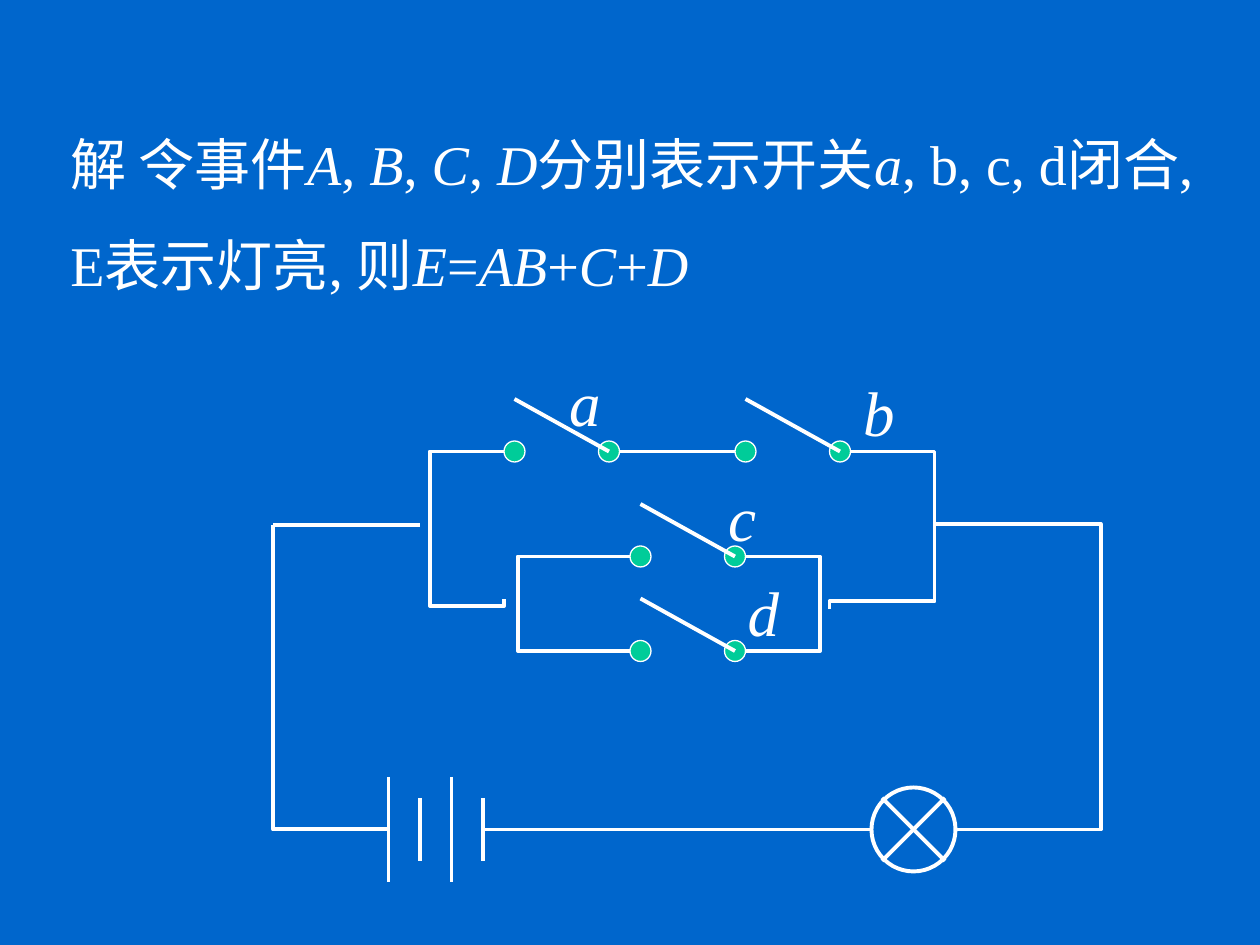
import pptx
import pptx.util
import pptx.dml.color
import pptx.enum.shapes
import pptx.enum.text
import pptx.oxml

Pt = pptx.util.Pt
MSO_SHAPE = pptx.enum.shapes.MSO_SHAPE
FONT = "Times New Roman"
COLORS = {"background": "0066CC", "line": "FFFFFF", "contact": "00CC99"}

TITLE_RUNS = [
    ("解 令事件", False), ("A", True), (", ", False), ("B", True),
    (", ", False), ("C", True), (", ", False), ("D", True),
    ("分别表示开关", False), ("a", True),
    (", b, c, d闭合, E表示灯亮, 则", False), ("E", True), ("=", False),
    ("AB", True), ("+", False), ("C", True), ("+", False), ("D", True),
]

SWITCHES = [(294, 258), (426, 258), (366, 318), (366, 372)]
CONTACT_GAP, CONTACT_SIZE, LEVER_RISE = 54, 12, 30

BENT_WIRES = [
    [(426, 318), (468.5, 318), (468.5, 372), (426, 372)],
    [(474, 348), (474, 343.5), (534, 343.5), (534, 258), (486, 258)],
    [(360, 318), (296, 318), (296, 372), (360, 372)],
    [(288, 258), (245.7, 258), (245.7, 346.3), (288, 346.3), (288, 342)],
    [(534, 299.5), (629, 299.5), (629, 474), (547, 474)],
    [(156, 300), (156, 474), (222, 474)],
]
STRAIGHT_WIRES = [(276, 474, 498, 474), (354, 258, 420, 258), (240, 300, 156, 300)]

BATTERY_LEFT, BATTERY_GAP, BATTERY_HEIGHTS = 222, 18, (60, 36, 60, 36)
MAIN_Y = 474
LAMP_X, LAMP_SIZE, LAMP_CROSS = 522, 48, 18

LABELS = [("a", 318, 204, 32.4), ("b", 486, 210, 32.4),
          ("c", 409, 270, 30.2), ("d", 420, 324, 32.4)]


def color(name):
    return pptx.dml.color.RGBColor.from_string(COLORS[name])


def style_line(shape, width=2.25):
    shape.line.color.rgb = color("line")
    shape.line.width = Pt(width)


def add_line(slide, *ends):
    line = slide.shapes.add_connector(
        pptx.enum.shapes.MSO_CONNECTOR.STRAIGHT, *map(Pt, ends))
    style_line(line)
    line._element.spPr.append(pptx.oxml.parse_xml(
        '<a:effectLst xmlns:a="http://schemas.openxmlformats.org/drawingml/2006/main"/>'))


def add_circle(slide, kind, x, y, size, width, fill=None):
    circle = slide.shapes.add_shape(
        kind, Pt(x - size / 2), Pt(y - size / 2), Pt(size), Pt(size))
    circle.shadow.inherit = False
    if fill:
        circle.fill.solid()
        circle.fill.fore_color.rgb = color(fill)
    else:
        circle.fill.background()
    style_line(circle, width)


def add_bent_wire(slide, points):
    start, *others = [(Pt(x), Pt(y)) for x, y in points]
    builder = slide.shapes.build_freeform(*start)
    builder.add_line_segments(others, close=False)
    wire = builder.convert_to_shape()
    wire.shadow.inherit = False
    wire.fill.background()
    style_line(wire)


def style_font(paragraph, size):
    paragraph.font.name = FONT
    paragraph.font.size = Pt(size)
    paragraph.font.color.rgb = color("line")


def add_title(slide):
    title = slide.shapes.title
    title.left, title.top, title.width, title.height = map(Pt, (33, 40.5, 677.5, 144))
    frame = title.text_frame
    frame.word_wrap = True
    frame.vertical_anchor = pptx.enum.text.MSO_ANCHOR.MIDDLE
    paragraph = frame.paragraphs[0]
    paragraph.alignment = pptx.enum.text.PP_ALIGN.LEFT
    paragraph.line_spacing = 1.5
    style_font(paragraph, 32)
    for text, italic in TITLE_RUNS:
        run = paragraph.add_run()
        run.text = text
        run.font.italic = italic


def add_label(slide, text, left, top, width):
    box = slide.shapes.add_textbox(Pt(left), Pt(top), Pt(width), Pt(50.4))
    box.text_frame.word_wrap = False
    paragraph = box.text_frame.paragraphs[0]
    paragraph.text = text
    paragraph.alignment = pptx.enum.text.PP_ALIGN.CENTER
    style_font(paragraph, 36)
    paragraph.font.italic = True


def main():
    presentation = pptx.Presentation()
    presentation.slide_width, presentation.slide_height = Pt(720), Pt(540)
    slide = presentation.slides.add_slide(presentation.slide_layouts[5])
    slide.background.fill.solid()
    slide.background.fill.fore_color.rgb = color("background")
    add_title(slide)

    for x, y in SWITCHES:
        for contact_x in (x, x + CONTACT_GAP):
            add_circle(slide, MSO_SHAPE.FLOWCHART_CONNECTOR, contact_x, y,
                       CONTACT_SIZE, 0.75, "contact")
        add_line(slide, x, y - LEVER_RISE, x + CONTACT_GAP, y)

    for points in BENT_WIRES:
        add_bent_wire(slide, points)
    for ends in STRAIGHT_WIRES:
        add_line(slide, *ends)

    for index, height in enumerate(BATTERY_HEIGHTS):
        x = BATTERY_LEFT + index * BATTERY_GAP
        add_line(slide, x, MAIN_Y - height / 2, x, MAIN_Y + height / 2)

    add_circle(slide, MSO_SHAPE.OVAL, LAMP_X, MAIN_Y, LAMP_SIZE, 2.25)
    for rise in (LAMP_CROSS, -LAMP_CROSS):
        add_line(slide, LAMP_X - LAMP_CROSS, MAIN_Y - rise,
                 LAMP_X + LAMP_CROSS, MAIN_Y + rise)

    for label in LABELS:
        add_label(slide, *label)
    presentation.save("out.pptx")


if __name__ == "__main__":
    main()
